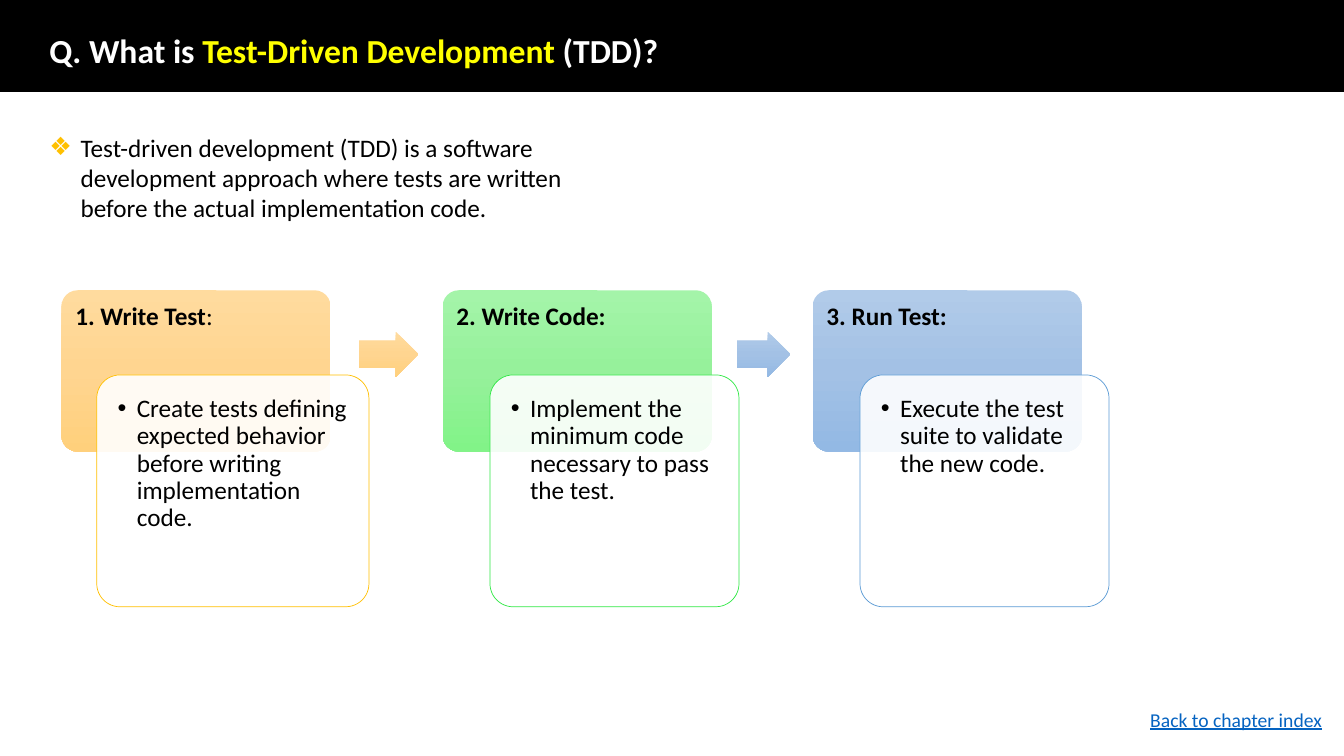
from copy import deepcopy
from dataclasses import dataclass

from lxml.etree import SubElement
from pptx import Presentation
from pptx.dml.color import RGBColor
from pptx.enum.shapes import MSO_SHAPE
from pptx.enum.text import MSO_ANCHOR, MSO_AUTO_SIZE, PP_ALIGN
from pptx.oxml.ns import qn
from pptx.util import Inches, Pt


@dataclass(frozen=True)
class Theme:
    font: str = "Calibri"
    black: str = "000000"
    white: str = "FFFFFF"
    mark: str = "FFFF00"
    gold: str = "FFC000"
    green: str = "30E845"
    blue: str = "5B9BD5"
    link: str = "0563C1"
    warm: tuple = ("FFDB9E", "FFD590", "FFD07C")
    fresh: tuple = ("A4F4A9", "96F19B", "82F388")
    cool: tuple = ("B1CBE9", "A3C1E5", "93B9E4")
    title: int = 24
    body: int = 18
    small: int = 14


@dataclass(frozen=True)
class Box:
    left: float
    top: float
    width: float
    height: float

    def emu(self) -> tuple:
        return tuple(map(Inches, (self.left, self.top, self.width, self.height)))


@dataclass(frozen=True)
class Step:
    head: tuple
    text: str
    left: float
    shift: float
    width: float
    fade: tuple
    edge: str


@dataclass(frozen=True)
class Arrow:
    left: float
    width: float
    fade: tuple


THEME = Theme()
STEPS = (
    Step((("1. Write Test", True), (":", False)),
         "Create tests defining expected behavior before writing implementation code.",
         0.61, 0.35, 2.7, THEME.warm, THEME.gold),
    Step((("2. Write Code:", True),),
         "Implement the minimum code necessary to pass the test.",
         4.39, 0.47, 2.47, THEME.fresh, THEME.green),
    Step((("3. Run Test:", True),),
         "Execute the test suite to validate the new code.",
         8.06, 0.47, 2.47, THEME.cool, THEME.blue),
)
ARROWS = (Arrow(3.56, 0.59, THEME.warm), Arrow(7.31, 0.53, THEME.cool))


def rgb(code: str) -> RGBColor:
    return RGBColor.from_string(code)


def style(run, size: int, color: str, bold: bool = False) -> None:
    font = run.font
    font.name, font.size, font.bold = THEME.font, Pt(size), bold
    font.color.rgb = rgb(color)


def add_run(para, text: str, size: int, color: str, bold: bool = False):
    run = para.add_run()
    run.text = text
    style(run, size, color, bold)
    return run


def bullet(para, char: str, indent: float, color: str) -> None:
    props = para._p.get_or_add_pPr()
    props.set("marL", str(Inches(indent)))
    props.set("indent", str(-Inches(indent)))
    SubElement(SubElement(props, qn("a:buClr")), qn("a:srgbClr"), val=color)
    SubElement(props, qn("a:buFont"), typeface="Arial")
    SubElement(props, qn("a:buChar"), char=char)


def add_form(shapes, kind: MSO_SHAPE, box: Box, *adjust: float):
    """Add a preset shape with no shadow and no line."""
    form = shapes.add_shape(kind, *box.emu())
    form.shadow.inherit = False
    form.line.fill.background()
    for i, value in enumerate(adjust):
        form.adjustments[i] = value
    return form


def fade(form, colors: tuple) -> None:
    """Fill from top to bottom with three evenly spaced colours."""
    fill = form.fill
    fill.gradient()
    fill.gradient_angle = 270
    stops = form.element.spPr.find(qn("a:gradFill")).find(qn("a:gsLst"))
    stops.insert(1, deepcopy(stops[0]))
    for i, (stop, color) in enumerate(zip(fill.gradient_stops, colors)):
        stop.position = i / 2
        stop.color.rgb = rgb(color)


def set_frame(form, inset: float):
    """Prepare top-left text and return its first paragraph."""
    frame = form.text_frame
    frame.word_wrap = True
    frame.vertical_anchor = MSO_ANCHOR.TOP
    frame.margin_left = frame.margin_right = Inches(inset)
    frame.margin_top = frame.margin_bottom = Inches(inset)
    para = frame.paragraphs[0]
    para.alignment = PP_ALIGN.LEFT
    para.line_spacing = 0.9
    return para


def add_step(shapes, step: Step) -> None:
    head = add_form(shapes, MSO_SHAPE.ROUNDED_RECTANGLE,
                    Box(step.left, 2.88, 2.67, 1.6), 0.1)
    fade(head, step.fade)
    para = set_frame(head, 0.09)
    for text, bold in step.head:
        add_run(para, text, THEME.body, THEME.black, bold)

    panel = add_form(shapes, MSO_SHAPE.ROUNDED_RECTANGLE,
                     Box(step.left + step.shift, 3.72, step.width, 2.3), 0.1)
    panel.fill.solid()
    panel.fill.fore_color.rgb = rgb(THEME.white)
    tint = panel.element.spPr.find(qn("a:solidFill")).find(qn("a:srgbClr"))
    SubElement(tint, qn("a:alpha"), val="90000")
    panel.line.color.rgb = rgb(step.edge)
    panel.line.width = Pt(0.5)
    para = set_frame(panel, 0.14)
    bullet(para, "•", 0.19, THEME.black)
    add_run(para, step.text, THEME.body, THEME.black)


def place(holder, box: Box, anchor: MSO_ANCHOR):
    """Move a placeholder and return its first paragraph."""
    holder.left, holder.top, holder.width, holder.height = box.emu()
    frame = holder.text_frame
    frame.auto_size = MSO_AUTO_SIZE.NONE
    frame.vertical_anchor = anchor
    para = frame.paragraphs[0]
    para.alignment = PP_ALIGN.LEFT
    para.space_before = Pt(0)
    return para


def add_title(slide) -> None:
    title = slide.shapes.title
    band = add_form(slide.shapes, MSO_SHAPE.RECTANGLE, Box(0, 0, 13.33, 0.91))
    band.fill.solid()
    band.fill.fore_color.rgb = rgb(THEME.black)
    band.line.color.rgb = rgb(THEME.black)
    band.line.width = Pt(1)
    title.element.addprevious(band.element)
    para = place(title, Box(0.39, 0.35, 11.5, 0.35), MSO_ANCHOR.MIDDLE)
    para.line_spacing = 0.9
    for text, color in (("Q. What is ", THEME.white),
                        ("Test-Driven Development", THEME.mark),
                        (" (TDD)?", THEME.white)):
        add_run(para, text, THEME.title, color, True)


def main() -> None:
    deck = Presentation()
    deck.slide_width, deck.slide_height = Inches(13.33), Inches(7.5)
    slide = deck.slides.add_slide(deck.slide_layouts[1])
    shapes = slide.shapes
    add_title(slide)

    para = place(slide.placeholders[1], Box(0.39, 1.26, 5.91, 1.18), MSO_ANCHOR.TOP)
    bullet(para, "❖", 0.31, THEME.gold)
    add_run(para, "Test-driven development (TDD) is a software development approach "
                  "where tests are written before the actual implementation code.",
            THEME.body, THEME.black)

    for step in STEPS:
        add_step(shapes, step)
    for arrow in ARROWS:
        form = add_form(shapes, MSO_SHAPE.RIGHT_ARROW,
                        Box(arrow.left, 3.29, arrow.width, 0.45), 0.6, 0.5)
        fade(form, arrow.fade)

    back = shapes.add_textbox(*Box(11.31, 6.97, 2, 0.34).emu())
    back.text_frame.word_wrap = True
    run = add_run(back.text_frame.paragraphs[0], "Back to chapter index",
                  THEME.small, THEME.link)
    run.font.underline = True
    deck.save("out.pptx")


if __name__ == "__main__":
    main()
